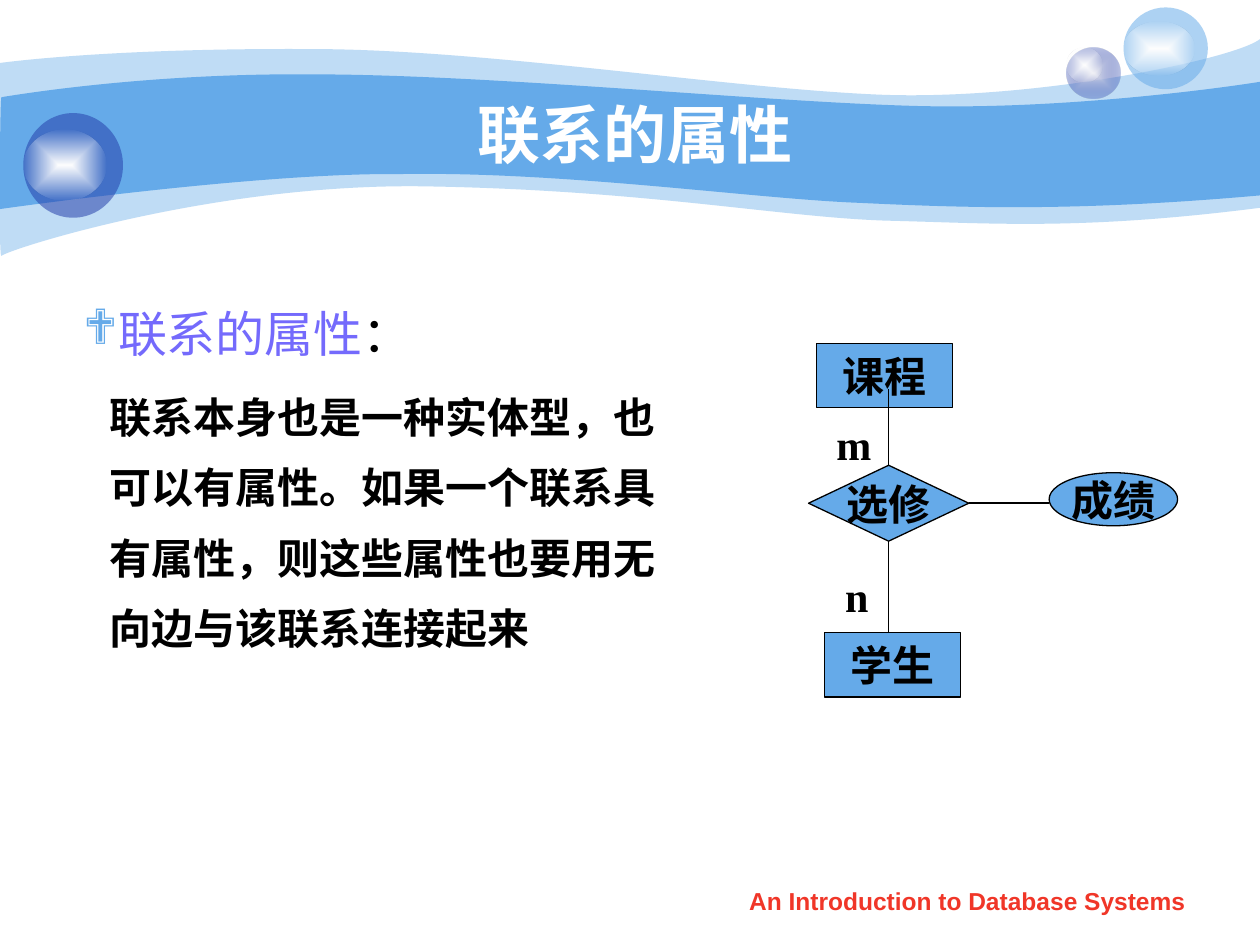
import pptx
import pptx.util
import pptx.dml.color
import pptx.enum.shapes
import pptx.enum.text
import pptx.oxml
import pptx.oxml.ns
from lxml import etree

Cm, Pt = pptx.util.Cm, pptx.util.Pt
RGB = pptx.dml.color.RGBColor.from_string
MSO = pptx.enum.shapes.MSO_SHAPE
ANCHOR = pptx.enum.text.MSO_ANCHOR
CENTER = pptx.enum.text.PP_ALIGN.CENTER
qn = pptx.oxml.ns.qn
COLORS = {"sky": "65AAE9", "navy": "233DA9", "pale": "E1E2ED", "white": "FFFFFF",
          "black": "000000", "red": "F03628", "violet": "746AFC"}
SERIF = "Times New Roman"


def paint(sp, *stops):
    """Fill without outline or shadow; each stop is (colour, opacity %), two make a gradient."""
    sp.shadow.inherit = False
    sp.line.fill.background()
    if len(stops) == 1:
        sp.fill.solid()
        colors = [sp.fill.fore_color]
    else:
        sp.fill.gradient()
        colors = [stop.color for stop in sp.fill.gradient_stops]
        grad = sp._element.spPr.find(qn("a:gradFill"))
        lin = grad.find(qn("a:lin"))
        radial = etree.Element(qn("a:path"), {"path": "shape"})
        etree.SubElement(radial, qn("a:fillToRect"), dict.fromkeys("ltrb", "50000"))
        grad.replace(lin, radial)
    for color, (name, _) in zip(colors, stops):
        color.rgb = RGB(COLORS[name])
    for clr, (_, alpha) in zip(sp._element.spPr.iter(qn("a:srgbClr")), stops):
        if alpha < 100:
            etree.SubElement(clr, qn("a:alpha"), val=str(alpha * 1000))


def add_run(p, text, size, color, font=SERIF, bold=True):
    r = p.add_run()
    r.text = text
    r.font.size = Pt(size)
    r.font.name = font
    r.font.bold = bold
    r.font.color.rgb = RGB(COLORS[color])


prs = pptx.Presentation()
prs.slide_width, prs.slide_height = Cm(25.4), Cm(19.05)
s = prs.slides.add_slide(prs.slide_layouts[6])

# Waves: a top and a bottom edge, each a start point and then three points per curve
waves = [
    (41,
     [(0, 1.27), (0.61, 1.19), (2.72, 0.97), (6.27, 0.99), (9.8, 0.99), (14.61, 1.78),
      (17.75, 1.91), (20.88, 2.03), (24.89, 1.19), (25.4, 0.79)],
     [(25.4, 4.19), (21.79, 4.65), (19.99, 4.5), (17.91, 4.45), (15.8, 4.39), (13.08, 3.84),
      (8.71, 3.76), (4.37, 3.66), (0.1, 5.05), (0.03, 5.16), (-0.03, 5.28), (0, 1.91),
      (0, 1.27)]),
    (100,
     [(0.03, 1.96), (0.05, 1.96), (2.79, 1.47), (6.3, 1.5), (9.8, 1.5), (15.11, 2.03),
      (18.24, 2.13), (21.36, 2.24), (24.79, 1.75), (25.4, 1.65)],
     [(25.4, 3.94), (21.67, 4.27), (19.43, 4.19), (17.32, 4.09), (15.21, 4.01), (11.35, 3.45),
      (8.05, 3.51), (5.16, 3.48), (-0.05, 4.22), (-0.03, 4.22), (0, 4.22), (0, 1.96),
      (0.03, 1.96)]),
]
for alpha, top, bottom in waves:
    points = [(Cm(x), Cm(y)) for x, y in top + bottom]
    builder = s.shapes.build_freeform(*points[0])
    builder.add_line_segments(points[1:], close=True)
    wave = builder.convert_to_shape()
    segments = list(wave._element.iter(qn("a:lnTo")))
    join = len(top) - 1
    for part in (segments[:join], segments[join + 1:]):
        for i in range(0, len(part), 3):
            curve = etree.Element(qn("a:cubicBezTo"))
            part[i].addprevious(curve)
            for segment in part[i:i + 3]:
                curve.append(segment[0])
                segment.getparent().remove(segment)
    paint(wave, ("sky", alpha))

# Bubbles, each followed by its highlight
glow = [("white", 100), ("white", 0)]
bubbles = [
    ((21.51, 0.97, 1.07, 1.02), [("pale", 100), ("navy", 31)]),
    ((21.51, 0.97, 0.71, 0.69), glow),
    ((22.65, 0.15, 1.7, 1.65), [("sky", 53)]),
    ((22.65, 0.43, 1.42, 1.09), glow),
    ((0.47, 2.28, 2.01, 2.11), [("navy", 53)]),
    ((0.47, 2.62, 1.68, 1.42), glow),
]
for box, stops in bubbles:
    paint(s.shapes.add_shape(MSO.OVAL, *map(Cm, box)), *stops)

# Diagram nodes
nodes = [
    (MSO.RECTANGLE, "课程", (16.46, 6.92, 2.74, 1.3)),
    (MSO.DIAMOND, "选修", (16.3, 9.38, 3.23, 1.53)),
    (MSO.RECTANGLE, "学生", (16.62, 12.75, 2.74, 1.3)),
    (MSO.OVAL, "成绩", (21.15, 9.53, 2.59, 1.07)),
]
for kind, text, box in nodes:
    sp = s.shapes.add_shape(kind, *map(Cm, box))
    paint(sp, ("sky", 100))
    sp.line.color.rgb = RGB(COLORS["black"])
    sp.line.width = Pt(0.75)
    tf = sp.text_frame
    tf.word_wrap = False
    tf.vertical_anchor = ANCHOR.MIDDLE
    tf.paragraphs[0].alignment = CENTER
    add_run(tf.paragraphs[0], text, 24, "black")

# Diagram edges
for ends in [(17.91, 9.38, 17.91, 7.85), (17.91, 10.91, 17.91, 12.75),
             (19.53, 10.14, 21.15, 10.14)]:
    line = s.shapes.add_connector(pptx.enum.shapes.MSO_CONNECTOR.STRAIGHT, *map(Cm, ends))
    line.line.color.rgb = RGB(COLORS["black"])
    line.line.width = Pt(0.75)
    etree.SubElement(line._element.spPr, qn("a:effectLst"))

# Title, footer and cardinality labels
labels = [
    ("联系的属性", (2.54, 1.9, 20.52, 1.57), 36, "white", "Arial", CENTER, ANCHOR.MIDDLE),
    ("An Introduction to Database Systems", (14.5, 17.73, 10.01, 0.89), 14, "red", "Arial",
     CENTER, ANCHOR.TOP),
    ("m", (16.61, 8.31, 0.81, 1.27), 24, "black", SERIF, None, ANCHOR.TOP),
    ("n", (16.79, 11.38, 0.81, 1.27), 24, "black", SERIF, None, ANCHOR.TOP),
]
for text, box, size, color, font, align, anchor in labels:
    tf = s.shapes.add_textbox(*map(Cm, box)).text_frame
    tf.word_wrap = True
    tf.vertical_anchor = anchor
    tf.paragraphs[0].alignment = align
    add_run(tf.paragraphs[0], text, size, color, font)

# Explanation: the bullet hangs to the left of the text below it
tf = s.shapes.add_textbox(Cm(0.69), Cm(5.52), Cm(13.41), Cm(8.81)).text_frame
tf.word_wrap = True
heading, body = tf.paragraphs[0], tf.add_paragraph()
for p, indent in ((heading, -0.53), (body, 0)):
    p.line_spacing = 1.4
    pPr = p._p.get_or_add_pPr()
    pPr.set("marL", str(Cm(1.27)))
    pPr.set("indent", str(Cm(indent)))
body.space_before = Pt(5)
pPr = heading._p.get_or_add_pPr()
bullet_color = etree.SubElement(pPr, qn("a:buClr"))
etree.SubElement(bullet_color, qn("a:srgbClr"), val=COLORS["sky"])
etree.SubElement(pPr, qn("a:buFont"), typeface="Wingdings")
etree.SubElement(pPr, qn("a:buChar"), char="❖")
add_run(heading, "联系的属性", 28, "violet", bold=False)
add_run(heading, "：", 28, "black", bold=False)
add_run(body, "联系本身也是一种实体型，也可以有属性。如果一个联系具有属性，则这些属性也要用无向边与该联系连接起来",
        24, "black")

prs.save("out.pptx")
